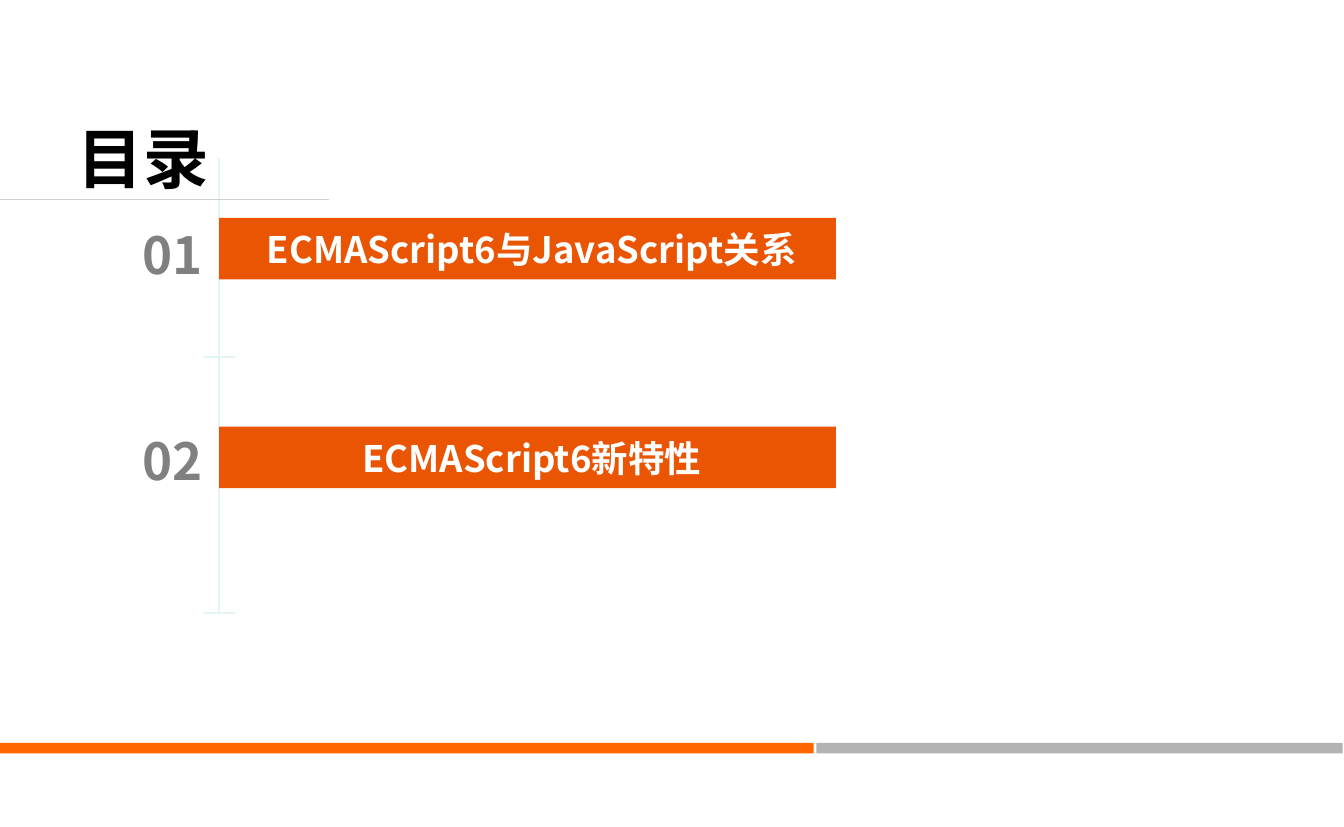
from dataclasses import dataclass

from lxml.etree import SubElement
from pptx import Presentation
from pptx.dml.color import RGBColor
from pptx.enum.shapes import MSO_CONNECTOR, MSO_SHAPE
from pptx.enum.text import MSO_ANCHOR, MSO_AUTO_SIZE, PP_ALIGN
from pptx.oxml.ns import qn
from pptx.shapes.autoshape import Shape
from pptx.slide import Slide
from pptx.util import Inches, Pt

FONT = "Noto Sans CJK SC"
ORANGE, GREY, WHITE = "EA5504", "808080", "FFFFFF"
PALE, RULE = "E4F3F4", "CFCFCF"
SPINE_X, SPINE_TOP, SPINE_BOTTOM = 1.67, 1.2, 4.67
TICK_HALF = 0.12


@dataclass
class Bar:
    left: float
    top: float
    width: float
    height: float
    fill: str


@dataclass
class Line:
    x1: float
    y1: float
    x2: float
    y2: float
    color: str


@dataclass
class Entry:
    number: str
    label: str
    number_top: float
    bar_top: float


FOOTER = [
    Bar(0, 5.66, 6.2, 0.08, "FF6600"),
    Bar(6.22, 5.66, 4.01, 0.08, "B3B3B3"),
]
LINES = [
    Line(SPINE_X, SPINE_TOP, SPINE_X, SPINE_BOTTOM, PALE),
    *(Line(SPINE_X - TICK_HALF, y, SPINE_X + TICK_HALF, y, PALE)
      for y in (2.72, SPINE_BOTTOM)),
    Line(0, 1.52, 2.51, 1.52, RULE),
]
ENTRIES = [
    Entry("01", " ECMAScript6与JavaScript关系", 1.56, 1.66),
    Entry("02", " ECMAScript6新特性", 3.13, 3.25),
]


def rgb(value: str) -> RGBColor:
    return RGBColor.from_string(value)


def add_bar(slide: Slide, bar: Bar) -> Shape:
    sp = slide.shapes.add_shape(
        MSO_SHAPE.RECTANGLE, Inches(bar.left), Inches(bar.top),
        Inches(bar.width), Inches(bar.height))
    sp.shadow.inherit = False
    sp.fill.solid()
    sp.fill.fore_color.rgb = rgb(bar.fill)
    sp.line.fill.background()
    return sp


def add_line(slide: Slide, line: Line) -> None:
    cxn = slide.shapes.add_connector(
        MSO_CONNECTOR.STRAIGHT, Inches(line.x1), Inches(line.y1),
        Inches(line.x2), Inches(line.y2))
    cxn.line.color.rgb = rgb(line.color)
    cxn.line.width = Pt(1)
    SubElement(cxn._element.spPr, qn("a:effectLst"))


def set_text(sp: Shape, text: str, size: float, color: str, align: PP_ALIGN,
             anchor: MSO_ANCHOR = MSO_ANCHOR.TOP, spacing: float = 1.0) -> None:
    tf = sp.text_frame
    tf.word_wrap = True
    tf.auto_size = MSO_AUTO_SIZE.NONE
    tf.vertical_anchor = anchor
    p = tf.paragraphs[0]
    p.text = text
    p.alignment = align
    p.line_spacing = spacing
    p.font.name = FONT
    p.font.size = Pt(size)
    p.font.bold = True
    p.font.color.rgb = rgb(color)
    # East Asian typeface for the Chinese characters
    SubElement(p._p.pPr.find(qn("a:defRPr")), qn("a:ea"), typeface=FONT)


def add_entry(slide: Slide, entry: Entry) -> None:
    number = slide.shapes.add_textbox(
        Inches(0.62), Inches(entry.number_top), Inches(1.02), Inches(0.56))
    set_text(number, entry.number, 28, GREY, PP_ALIGN.RIGHT, spacing=1.2)
    bar = add_bar(slide, Bar(SPINE_X, entry.bar_top, 4.7, 0.47, ORANGE))
    set_text(bar, entry.label, 20, WHITE, PP_ALIGN.CENTER, MSO_ANCHOR.MIDDLE)


def main() -> None:
    prs = Presentation()
    prs.slide_width, prs.slide_height = Inches(10.24), Inches(6.3)
    slide = prs.slides.add_slide(prs.slide_layouts[5])

    # Title
    title = slide.shapes.title
    title.left, title.top = Inches(0.49), Inches(0.85)
    title.width, title.height = Inches(1.29), Inches(0.59)
    set_text(title, "目录", 36, "000000", PP_ALIGN.LEFT)

    # Footer band
    for bar in FOOTER:
        add_bar(slide, bar)

    # Timeline and title rule
    for line in LINES:
        add_line(slide, line)

    # Contents entries
    for entry in ENTRIES:
        add_entry(slide, entry)

    prs.save("out.pptx")


if __name__ == "__main__":
    main()
